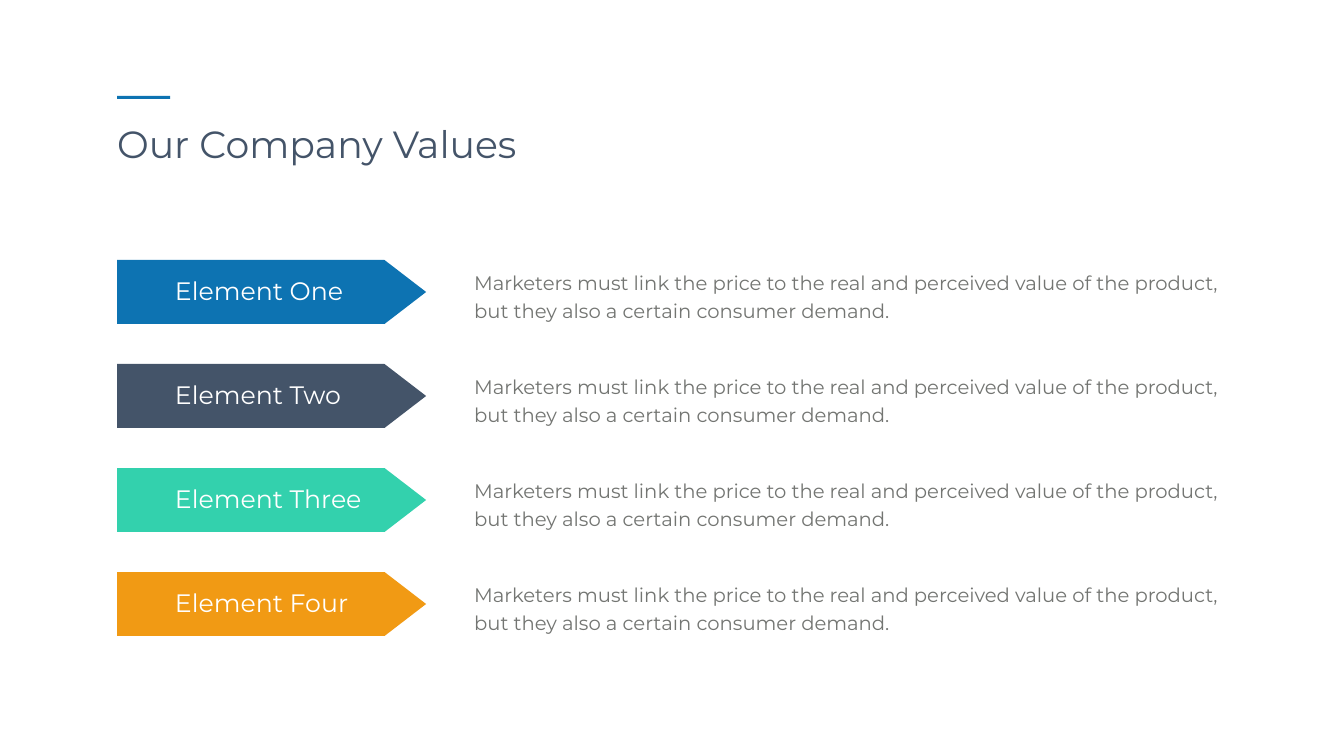
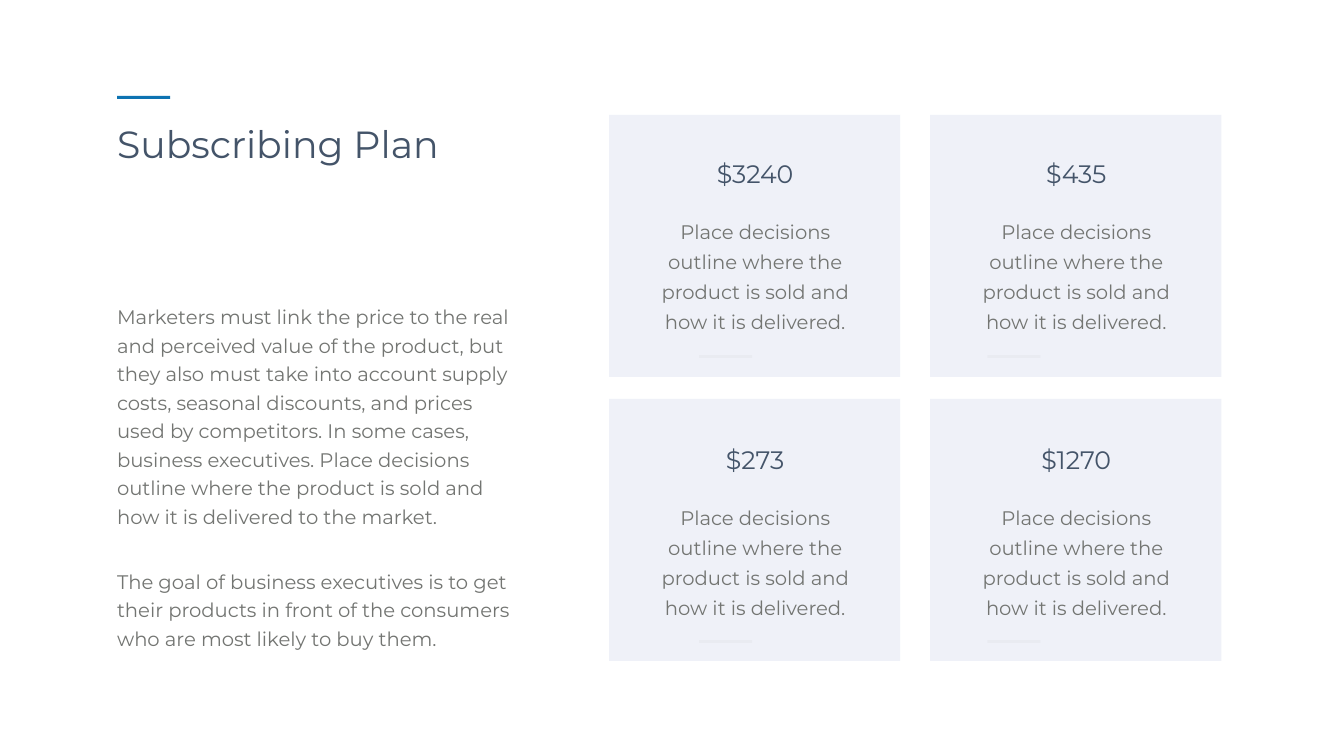
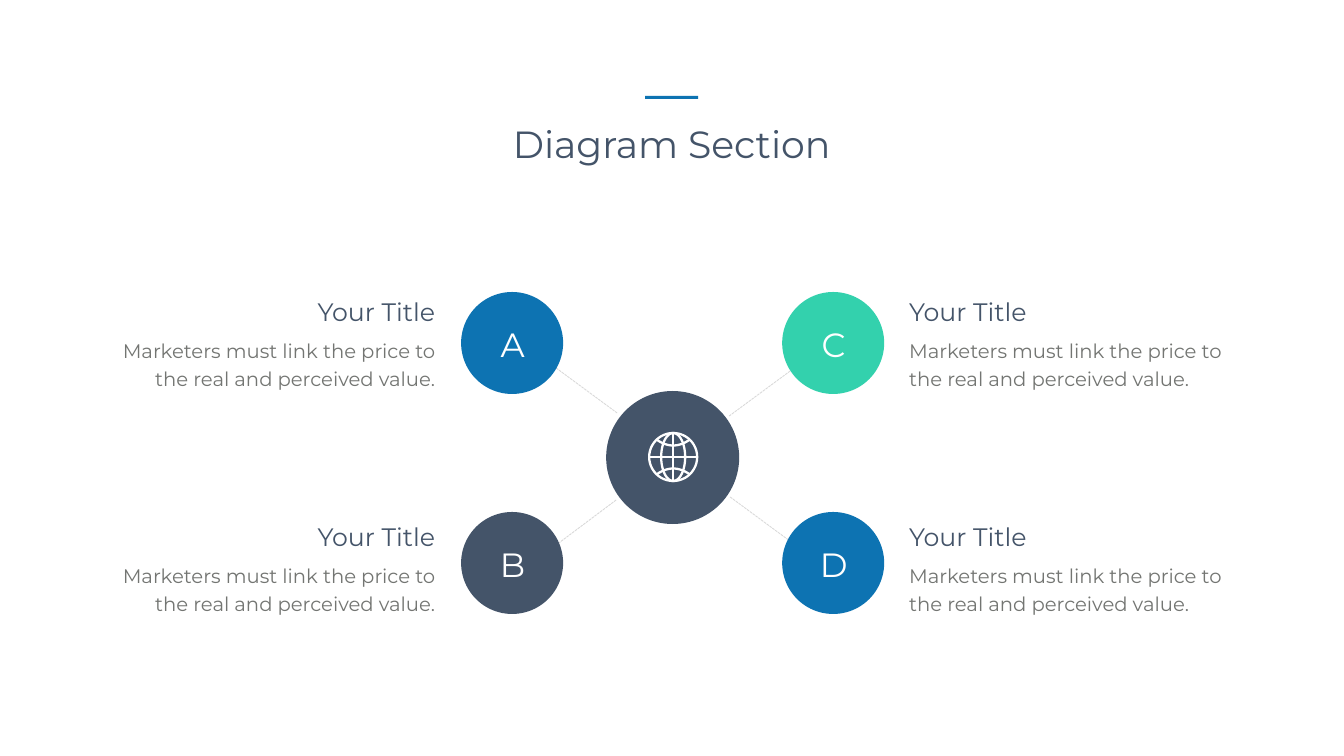
from math import cos, pi, sin

from lxml.etree import SubElement
from pptx import Presentation
from pptx.dml.color import RGBColor
from pptx.enum.dml import MSO_LINE
from pptx.enum.shapes import MSO_CONNECTOR, MSO_SHAPE
from pptx.enum.text import MSO_ANCHOR, MSO_AUTO_SIZE, PP_ALIGN
from pptx.oxml.ns import qn
from pptx.util import Inches, Pt

FONT = "Montserrat"
BLUE, NAVY, GREEN, ORANGE = "0D73B2", "445469", "33D1AD", "F19A14"
GREY, PALE, RULE, FAINT, WHITE = "737572", "EFF1F8", "D9D9D9", "808080", "FFFFFF"
LEFT, CENTER, RIGHT = PP_ALIGN.LEFT, PP_ALIGN.CENTER, PP_ALIGN.RIGHT
TITLE_SIZE, LETTER_SIZE, HEAD_SIZE, BODY_SIZE = 54, 48, 36, 28
BODY_LEADING, CARD_LEADING = 40.8, 43

VALUES = [("Element One", BLUE), ("Element Two", NAVY),
          ("Element Three", GREEN), ("Element Four", ORANGE)]
VALUE_TEXT = ("Marketers must link the price to the real and perceived value of the product, "
              "but they also a certain consumer demand.")

PLAN_TEXT = [
    "Marketers must link the price to the real and perceived value of the product, but they "
    "also must take into account supply costs, seasonal discounts, and prices used by "
    "competitors. In some cases, business executives. Place decisions outline where the "
    "product is sold and how it is delivered to the market.",
    "The goal of business executives is to get their products in front of the consumers who "
    "are most likely to buy them.",
]
PRICES = ["$3240", "$435", "$273", "$1270"]
PRICE_TEXT = "Place decisions outline where the product is sold and how it is delivered."

NODES = [("A", BLUE), ("B", NAVY), ("C", GREEN), ("D", BLUE)]
NODE_TITLE = "Your Title"
NODE_TEXT = "Marketers must link the price to the real and perceived value."
SPOKES = [(790, 371, 729, 416), (616, 500, 556, 545),
          (556, 368, 617, 413), (730, 497, 791, 542)]


def px(n):
    return round(n * Inches(1) / 50.4)


def rgb(color):
    return RGBColor.from_string(color)


def write(tf, paragraphs, size, color, align=LEFT, leading=None, gap=0):
    """Fill a text frame with equally formatted paragraphs, gap points apart."""
    tf.word_wrap = True
    tf.auto_size = MSO_AUTO_SIZE.NONE
    tf.vertical_anchor = MSO_ANCHOR.TOP
    for i, text in enumerate(paragraphs):
        p = tf.add_paragraph() if i else tf.paragraphs[0]
        p.text = text
        p.alignment = align
        if leading:
            p.line_spacing = Pt(leading)
        if i:
            p.space_before = Pt(gap)
        p.font.name = FONT
        p.font.size = Pt(size)
        p.font.color.rgb = rgb(color)


def add_text(slide, x, y, w, h, text, size, color, align=LEFT, leading=None):
    box = slide.shapes.add_textbox(px(x), px(y), px(w), px(h))
    write(box.text_frame, [text], size, color, align, leading)


def add_shape(slide, kind, x, y, w, h, color, opacity=100):
    sp = slide.shapes.add_shape(kind, px(x), px(y), px(w), px(h))
    sp.shadow.inherit = False
    sp.fill.solid()
    sp.fill.fore_color.rgb = rgb(color)
    sp.line.fill.background()
    if opacity < 100:
        clr = sp.fill._xPr.find(".//" + qn("a:srgbClr"))
        SubElement(clr, qn("a:alpha"), val=str(opacity * 1000))
    return sp


def add_bar(slide, x, y, color, opacity=100):
    add_shape(slide, MSO_SHAPE.RECTANGLE, x, y, 53, 3, color, opacity)


def add_slide(prs, title, x=112, w=417, bar_x=117, align=LEFT):
    """Add a slide with the shared title style and accent bar."""
    slide = prs.slides.add_slide(prs.slide_layouts[5])
    sp = slide.shapes.title
    sp.left, sp.top, sp.width, sp.height = px(x), px(118), px(w), px(51)
    write(sp.text_frame, [title], TITLE_SIZE, NAVY, align)
    add_bar(slide, bar_x, 96, BLUE)
    return slide


def add_spoke(slide, x1, y1, x2, y2):
    line = slide.shapes.add_connector(MSO_CONNECTOR.STRAIGHT, px(x1), px(y1), px(x2), px(y2))
    line.line.color.rgb = rgb(RULE)
    line.line.width = Pt(1.25)
    line.line.dash_style = MSO_LINE.SQUARE_DOT
    SubElement(line._element.spPr, qn("a:effectLst"))


def add_globe(slide, cx, cy, r=24):
    """Draw a wire globe as one outlined freeform."""
    def ellipse(rx, ry, steps=48):
        return [(rx * cos(2 * pi * i / steps), ry * sin(2 * pi * i / steps))
                for i in range(steps + 1)]

    def parallel(side):
        return [(2 * i, side * (11.5 + 5.5 * (i / 8) ** 2)) for i in range(-8, 9)]

    strokes = [ellipse(r, r), ellipse(r / 2, r), parallel(-1), parallel(1),
               [(0, -r), (0, r)], [(-r, 0), (r, 0)]]
    strokes = [[(px(cx + x), px(cy + y)) for x, y in stroke] for stroke in strokes]
    builder = slide.shapes.build_freeform(*strokes[0][0])
    for stroke in strokes:
        builder.move_to(*stroke[0])
        builder.add_line_segments(stroke[1:], close=False)
    sp = builder.convert_to_shape()
    sp.shadow.inherit = False
    sp.fill.background()
    sp.line.color.rgb = rgb(WHITE)
    sp.line.width = Pt(3.25)


def build_values(prs):
    slide = add_slide(prs, "Our Company Values")
    for i, (name, color) in enumerate(VALUES):
        y = 260 + 104 * i
        arrow = add_shape(slide, MSO_SHAPE.PENTAGON, 117, y, 309, 64, color)
        arrow.adjustments[0] = 0.65
        add_text(slide, 170, y + 13, 209, 36, name, HEAD_SIZE, WHITE)
        add_text(slide, 469, y + 3, 758, 63, VALUE_TEXT, BODY_SIZE, GREY, leading=BODY_LEADING)


def build_plan(prs):
    slide = add_slide(prs, "Subscribing Plan", w=362)
    box = slide.shapes.add_textbox(px(105), px(294), px(420), px(367))
    tf = box.text_frame
    tf.margin_left = tf.margin_right = px(12)
    tf.margin_top = tf.margin_bottom = px(6)
    write(tf, PLAN_TEXT, BODY_SIZE, GREY, leading=BODY_LEADING, gap=52)
    for i, price in enumerate(PRICES):
        row, col = divmod(i, 2)
        x, text_y = 609 + 321 * col, 156 + 286 * row
        add_shape(slide, MSO_SHAPE.RECTANGLE, x, 115 + 284 * row, 291, 262, PALE)
        add_text(slide, x + 52, text_y, 188, 36, price, HEAD_SIZE, NAVY, CENTER)
        add_text(slide, x + 43, text_y + 55, 206, 124, PRICE_TEXT, BODY_SIZE, GREY,
                 CENTER, CARD_LEADING)
        add_bar(slide, 699 + 288 * col, 355 + 285 * row, FAINT, opacity=5)


def build_diagram(prs):
    slide = add_slide(prs, "Diagram Section", 415, 513, 645, CENTER)
    for spoke in SPOKES:
        add_spoke(slide, *spoke)
    add_shape(slide, MSO_SHAPE.OVAL, 606, 391, 133, 133, NAVY)
    add_globe(slide, 673, 457)
    for i, (letter, color) in enumerate(NODES):
        col, row = divmod(i, 2)
        x, y, text_y = 461 + 321 * col, 292 + 220 * row, 294 + 225 * row
        add_shape(slide, MSO_SHAPE.OVAL, x, y, 102, 102, color)
        add_text(slide, x + 16, y + 29, 71, 46, letter, LETTER_SIZE, WHITE, CENTER)
        title_x, body_x, align = (904, 904, LEFT) if col else (143, 117, RIGHT)
        add_text(slide, title_x, text_y, 297, 36, NODE_TITLE, HEAD_SIZE, NAVY, align)
        add_text(slide, body_x, text_y + 37, 323, 60, NODE_TEXT, BODY_SIZE, GREY,
                 align, BODY_LEADING)


def main():
    prs = Presentation()
    prs.slide_width, prs.slide_height = Inches(26.66), Inches(15)
    build_values(prs)
    build_plan(prs)
    build_diagram(prs)
    prs.save("out.pptx")


if __name__ == "__main__":
    main()
